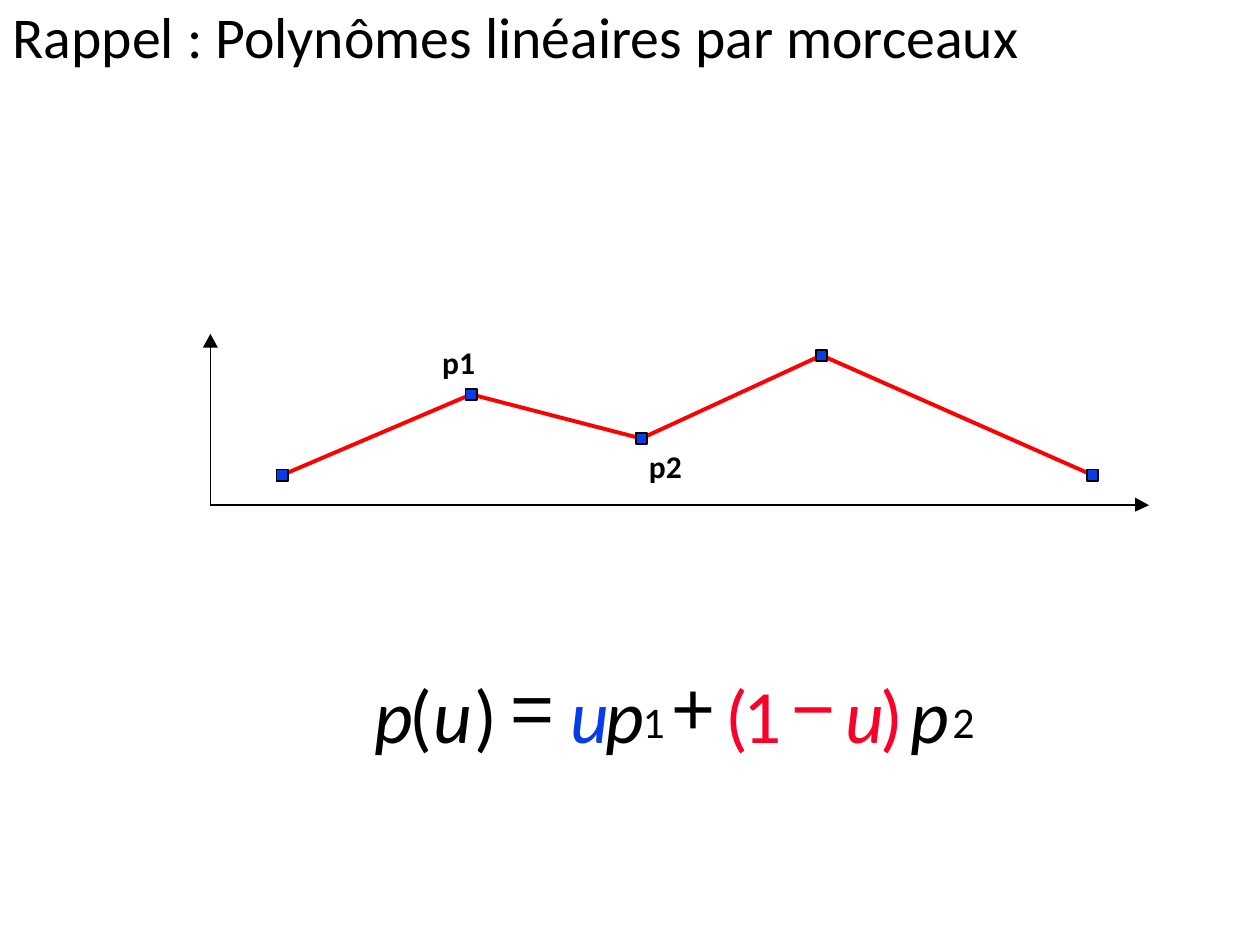
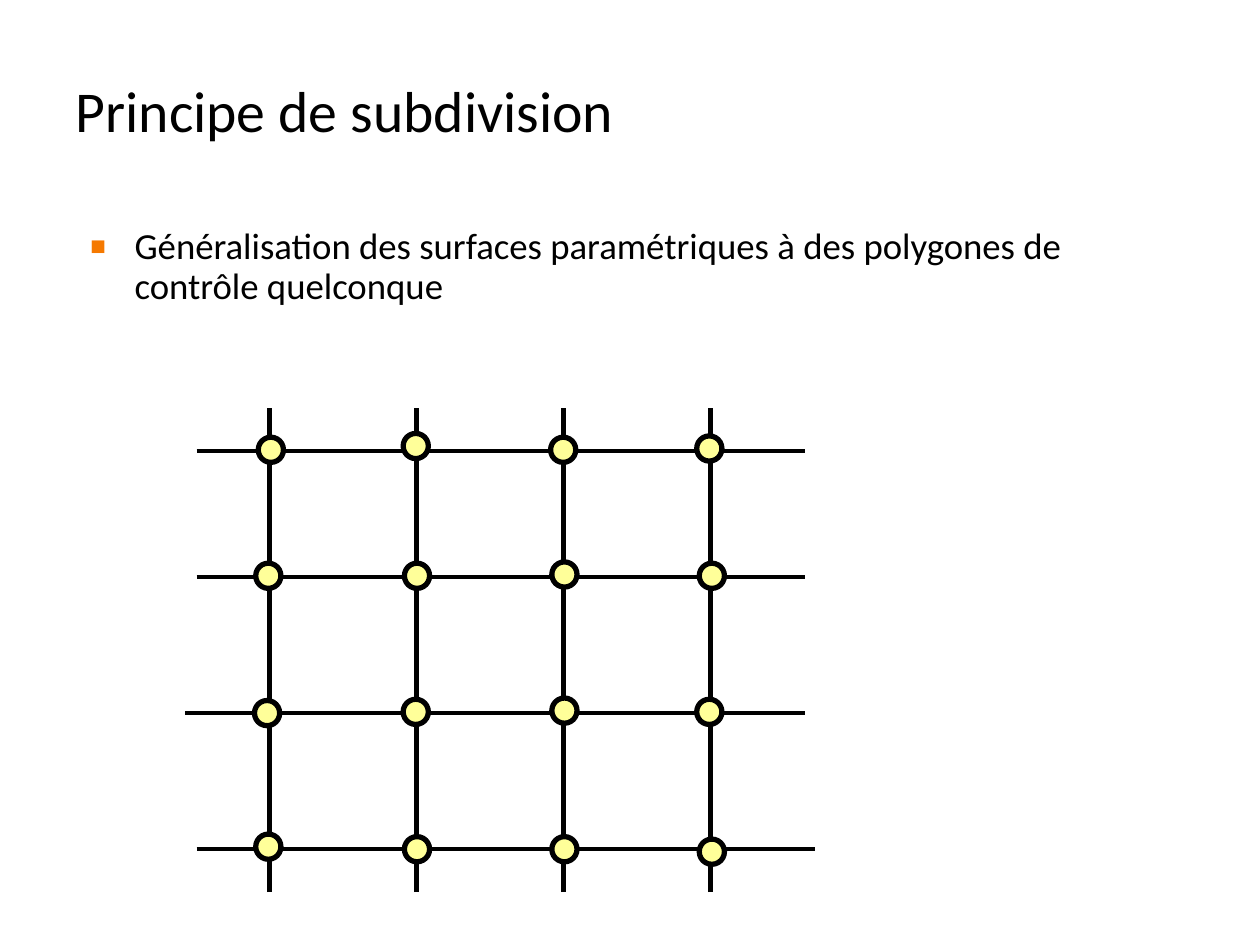
from lxml.etree import SubElement
from pptx import Presentation
from pptx.dml.color import RGBColor
from pptx.enum.shapes import MSO_CONNECTOR, MSO_SHAPE
from pptx.enum.text import MSO_ANCHOR, MSO_AUTO_SIZE, PP_ALIGN
from pptx.oxml.ns import qn
from pptx.util import Inches, Pt

# Shared style
BLACK, BLUE, RED, PINK = "000000", "063DE8", "FF0000", "FC0128"
YELLOW, ORANGE = "FFFF99", "F57900"
FONT, MATH = "Calibri", "Arial"

# Slide 1: curve, axes and formula
CURVE_TITLE = "Rappel : Polynômes linéaires par morceaux"
KNOTS = [(2.24, 3.77), (3.74, 3.13), (5.09, 3.48), (6.52, 2.82), (8.67, 3.77)]
KNOT = 0.09
ORIGIN = (1.67, 4.01)
AXES = [  # end of the line, corners of its arrowhead
    ((1.67, 2.75), [(1.73, 2.76), (1.67, 2.65), (1.61, 2.76)]),
    ((9.01, 4.01), [(9.01, 4.06), (9.12, 4.01), (9.01, 3.95)]),
]
LABELS = [("p1", 3.51, 2.7), ("p2", 5.15, 3.53)]
KINDS = {  # top, width, height, top inset and text format
    "var": (5.27, 0.3, 0.72, 0.03, dict(size=43, italic=True)),
    "num": (5.27, 0.3, 0.72, 0.03, dict(size=43)),
    "paren": (5.27, 0.2, 0.72, 0.03, dict(size=43)),
    "sign": (5.23, 0.33, 0.73, 0, dict(size=43, font=MATH, space=1.02)),
    "index": (5.49, 0.17, 0.42, 0.02, dict(size=25)),
}
FORMULA = [
    ("p", "var", 2.97, BLACK), ("(", "paren", 3.25, BLACK),
    ("u", "var", 3.44, BLACK), (")", "paren", 3.77, BLACK),
    ("=", "sign", 4.05, BLACK), ("u", "var", 4.53, BLUE),
    ("p", "var", 4.81, BLACK), ("1", "index", 5.1, BLACK),
    ("+", "sign", 5.33, BLACK), ("(", "paren", 5.76, PINK),
    ("1", "num", 5.9, PINK), ("−", "sign", 6.28, PINK),
    ("u", "var", 6.71, PINK), (")", "paren", 6.99, PINK),
    ("p", "var", 7.23, BLACK), ("2", "index", 7.56, BLACK),
]

# Slide 2: text and control mesh
MESH_TITLE = "Principe de subdivision"
POINT = ("Généralisation des surfaces paramétriques à des polygones de "
         "contrôle quelconque")
ROWS = [(3.58, 1.56, 6.39), (4.58, 1.56, 6.39),  # y, left end, right end
        (5.66, 1.47, 6.39), (6.74, 1.56, 6.47)]
COLS = [2.14 + 1.167 * col for col in range(4)]
TOP, BASE = 3.24, 7.08
NODES = [
    (2.15, 3.57), (3.3, 3.54), (4.47, 3.57), (5.63, 3.56),
    (2.13, 4.57), (3.31, 4.57), (4.48, 4.56), (5.65, 4.57),
    (2.12, 5.66), (3.3, 5.65), (4.48, 5.64), (5.63, 5.65),
    (2.13, 6.72), (3.31, 6.74), (4.48, 6.74), (5.65, 6.76),
]
NODE = 0.2


def paint(color):
    return RGBColor.from_string(color)


def write(shape, text, size, color=BLACK, font=FONT, bold=False, italic=False,
          space=None, inset=(0, 0, 0, 0), anchor=MSO_ANCHOR.TOP, bullet=None):
    frame = shape.text_frame
    frame.auto_size = MSO_AUTO_SIZE.NONE
    frame.word_wrap = True
    frame.vertical_anchor = anchor
    (frame.margin_left, frame.margin_top,
     frame.margin_right, frame.margin_bottom) = map(Inches, inset)
    para = frame.paragraphs[0]
    para.alignment = PP_ALIGN.LEFT
    if bullet:
        mark(para, bullet)
    if space:
        para.line_spacing = space
    run = para.add_run()
    run.text = text
    face = run.font
    face.name, face.size = font, Pt(size)
    face.bold, face.italic = bold, italic
    face.color.rgb = paint(color)


def mark(para, sign):
    """Give a paragraph a small coloured bullet and a hanging indent."""
    props = para._p.get_or_add_pPr()
    props.set("marL", str(Inches(0.47)))
    props.set("indent", str(Inches(-0.35)))
    SubElement(SubElement(props, qn("a:buClr")), qn("a:srgbClr"), val=ORANGE)
    SubElement(props, qn("a:buSzPct"), val="45000")
    SubElement(props, qn("a:buFont"), typeface=FONT)
    SubElement(props, qn("a:buChar"), char=sign)


def box(slide, text, at, **style):
    write(slide.shapes.add_textbox(*map(Inches, at)), text, **style)


def start(deck, text, at, **style):
    """Add a slide with its title."""
    slide = deck.slides.add_slide(deck.slide_layouts[5])
    title = slide.shapes.title
    title.left, title.top, title.width, title.height = map(Inches, at)
    write(title, text, size=33, space=0.9, **style)
    return slide


def finish(shape, fill=None, line=None, width=1):
    shape.shadow.inherit = False
    if fill:
        shape.fill.solid()
        shape.fill.fore_color.rgb = paint(fill)
    else:
        shape.fill.background()
    if line:
        shape.line.color.rgb = paint(line)
        shape.line.width = Pt(width)
    else:
        shape.line.fill.background()


def dot(slide, kind, center, side, fill, width):
    x, y = center
    at = (x - side / 2, y - side / 2, side, side)
    finish(slide.shapes.add_shape(kind, *map(Inches, at)), fill, BLACK, width)


def rule(slide, begin, end, width):
    line = slide.shapes.add_connector(
        MSO_CONNECTOR.STRAIGHT, *map(Inches, begin + end))
    line.line.color.rgb = paint(BLACK)
    line.line.width = Pt(width)
    SubElement(line._element.spPr, qn("a:effectLst"))


def trace(slide, points, close=False, **style):
    first, *rest = [(Inches(x), Inches(y)) for x, y in points]
    path = slide.shapes.build_freeform(*first)
    path.add_line_segments(rest, close=close)
    finish(path.convert_to_shape(), **style)


def draw_curve(deck):
    slide = start(deck, CURVE_TITLE, (0, 0.01, 10, 4.72),
                  inset=(0.1, 0.06, 0.1, 0.05))
    trace(slide, KNOTS, line=RED, width=2.25)
    for knot in KNOTS:
        dot(slide, MSO_SHAPE.RECTANGLE, knot, KNOT, BLUE, 1)
    for end, head in AXES:
        rule(slide, ORIGIN, end, 1)
        trace(slide, head, close=True, fill=BLACK)
    for text, x, y in LABELS:
        box(slide, text, (x, y, 0.35, 0.4), size=18, bold=True,
            inset=(0, 0.02, 0, 0))
    for text, kind, x, color in FORMULA:
        y, wide, high, pad, style = KINDS[kind]
        box(slide, text, (x, y, wide, high), color=color,
            inset=(0, pad, 0, 0), **style)


def draw_mesh(deck):
    slide = start(deck, MESH_TITLE, (0.5, 0.3, 9, 1.25),
                  inset=(0.1, 0.01, 0.1, 0.05), anchor=MSO_ANCHOR.MIDDLE)
    box(slide, POINT, (0.5, 1.76, 9, 4.95), size=21, space=0.9,
        inset=(0.1, 0.05, 0.1, 0.05), bullet="■")
    for y, left, right in ROWS:
        rule(slide, (left, y), (right, y), 2)
    for x in COLS:
        rule(slide, (x, BASE), (x, TOP), 3)
    for node in NODES:
        dot(slide, MSO_SHAPE.OVAL, node, NODE, YELLOW, 3)


def main():
    deck = Presentation()
    deck.slide_width, deck.slide_height = Inches(10), Inches(7.5)
    draw_curve(deck)
    draw_mesh(deck)
    deck.save("out.pptx")


if __name__ == "__main__":
    main()
